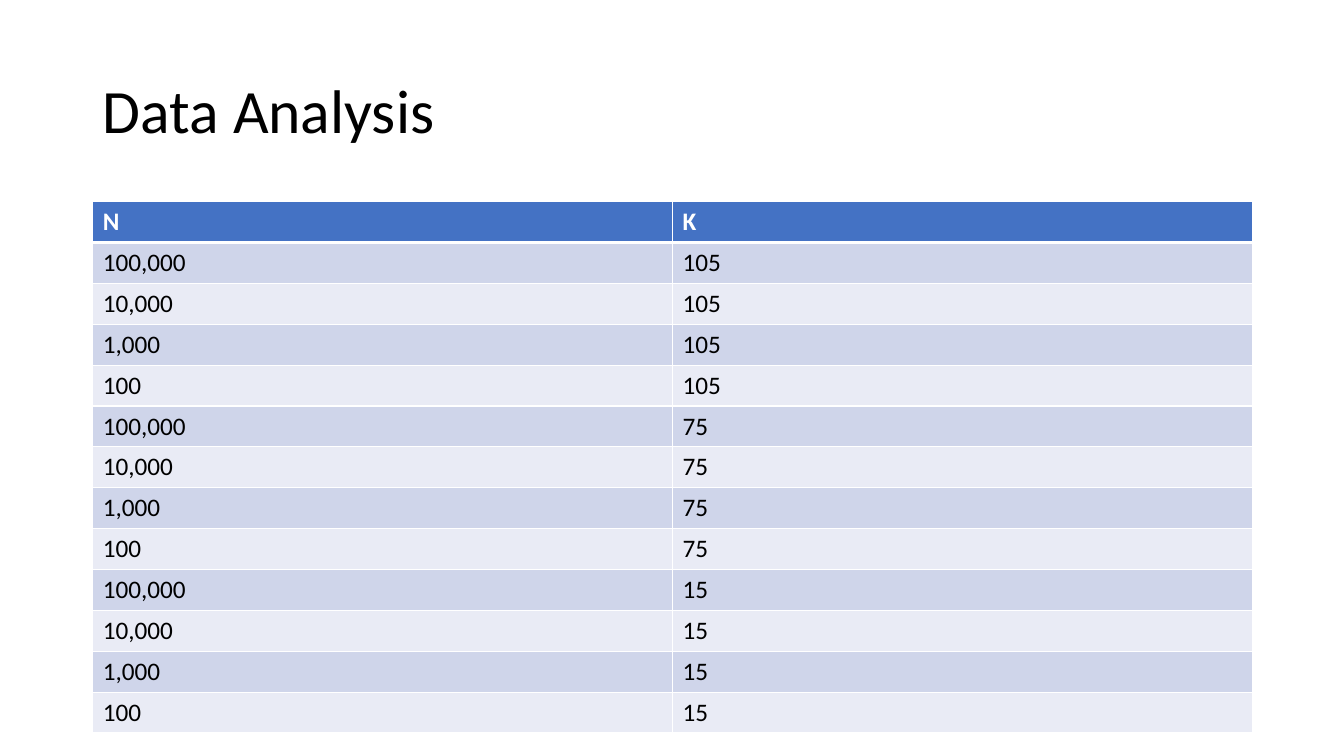
from dataclasses import dataclass
from itertools import product

from lxml.etree import SubElement
from pptx import Presentation
from pptx.dml.color import RGBColor as Rgb
from pptx.enum.text import MSO_ANCHOR as Anchor
from pptx.oxml.ns import qn
from pptx.util import Inches, Pt


@dataclass(frozen=True)
class Theme:
    font: str = "Calibri"
    title_size: int = 44
    cell_size: int = 18
    ink: str = "000000"
    white: str = "FFFFFF"
    header: str = "4472C4"
    bands: tuple = ("CFD5EA", "E9EBF5")
    thin: int = 1
    thick: int = 3


THEME = Theme()
LEFT, WIDTH = Inches(0.92), Inches(11.5)
HEADINGS = ("N", "K")
K_VALUES = ("105", "75", "15")
N_VALUES = ("100,000", "10,000", "1,000", "100")


def style_text(paragraph, size, color, bold=False):
    for run in paragraph.runs:
        run.font.name = THEME.font
        run.font.size = Pt(size)
        run.font.bold = bold
        run.font.color.rgb = Rgb.from_string(color)


def add_title(slide, text):
    title = slide.shapes.title
    title.left, title.top = LEFT, Inches(0.4)
    title.width, title.height = WIDTH, Inches(1.45)
    frame = title.text_frame
    frame.text = text
    frame.vertical_anchor = Anchor.MIDDLE
    heading = frame.paragraphs[0]
    heading.alignment = 1  # left
    heading.line_spacing = 0.9
    style_text(heading, THEME.title_size, THEME.ink)


def set_borders(cell, top, bottom):
    properties = cell._tc.get_or_add_tcPr()
    widths = {"L": THEME.thin, "R": THEME.thin, "T": top, "B": bottom}
    for side, width in widths.items():
        line = SubElement(properties, qn(f"a:ln{side}"), w=str(Pt(width)))
        fill = SubElement(line, qn("a:solidFill"))
        SubElement(fill, qn("a:srgbClr"), val=THEME.white)


def fill_cell(cell, text, row):
    is_header = row == 0
    # A thick rule parts the header from the first data row
    set_borders(cell,
                top=THEME.thick if row == 1 else THEME.thin,
                bottom=THEME.thick if is_header else THEME.thin)
    background = THEME.header if is_header else THEME.bands[(row - 1) % 2]
    cell.fill.solid()
    cell.fill.fore_color.rgb = Rgb.from_string(background)
    cell.text_frame.text = text
    style_text(cell.text_frame.paragraphs[0], THEME.cell_size,
               THEME.white if is_header else THEME.ink, bold=is_header)


def add_data_table(slide, records):
    table = slide.shapes.add_table(len(records), len(HEADINGS), LEFT, Inches(2),
                                   WIDTH, Inches(5.27)).table
    for row, record in enumerate(records):
        for column, text in enumerate(record):
            fill_cell(table.cell(row, column), text, row)


def main():
    deck = Presentation()
    deck.slide_width, deck.slide_height = Inches(13.33), Inches(7.5)
    slide = deck.slides.add_slide(deck.slide_layouts[5])  # title only

    add_title(slide, "Data Analysis")

    # Every N is tried with every K
    trials = [(n, k) for k, n in product(K_VALUES, N_VALUES)]
    add_data_table(slide, [HEADINGS, *trials])

    deck.save("out.pptx")


if __name__ == "__main__":
    main()
